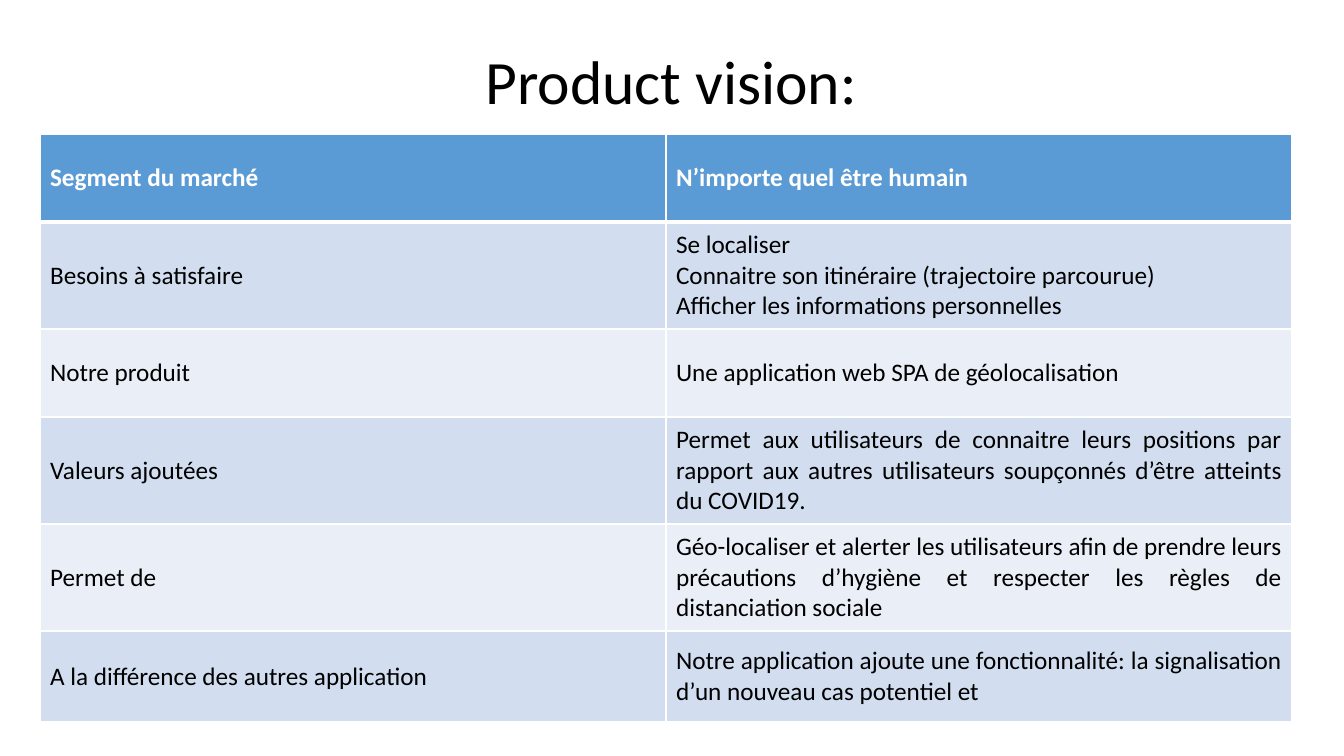
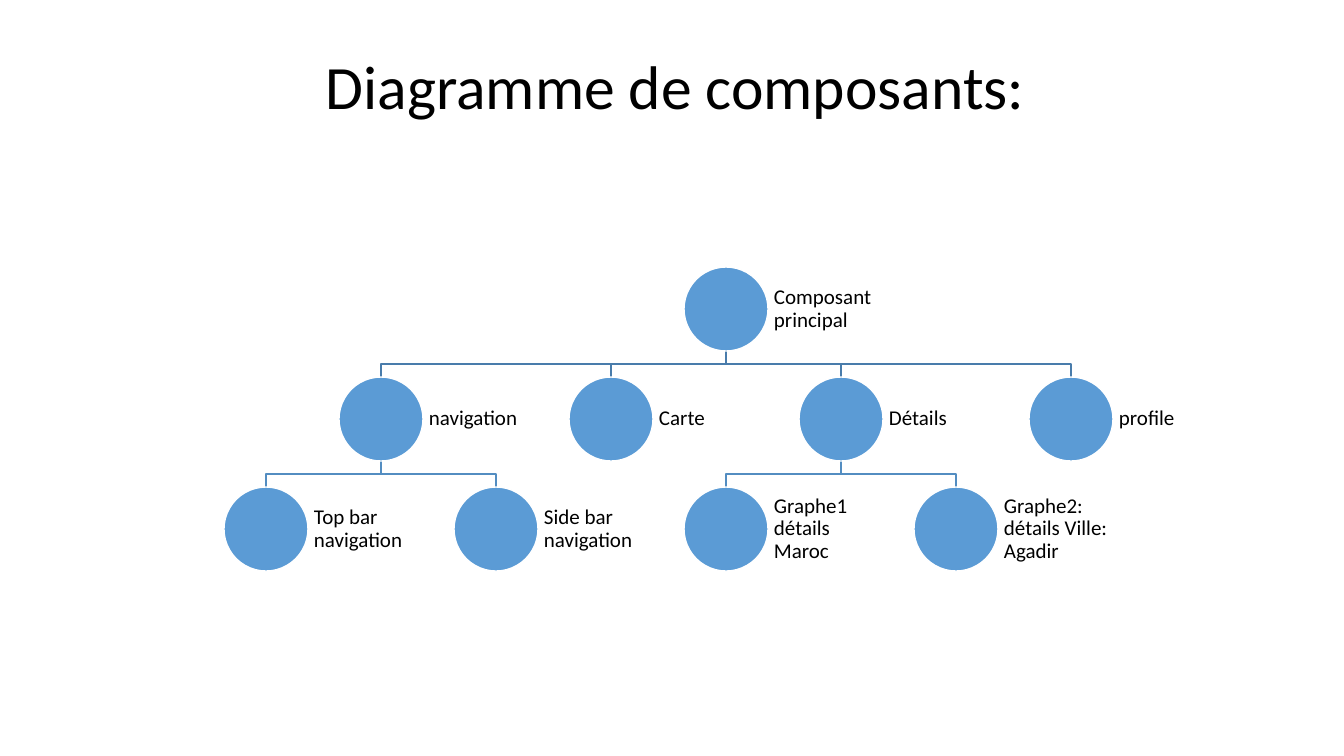
import dataclasses
import typing

import lxml.etree
import pptx
import pptx.dml.color
import pptx.enum.shapes
import pptx.enum.text
import pptx.oxml.ns
import pptx.slide
import pptx.table
import pptx.text.text
import pptx.util

SLIDE_WIDTH, SLIDE_HEIGHT = 1344, 756
EMU_PER_PX = 12192000 / SLIDE_WIDTH

FONT = "Calibri"
BLACK = pptx.dml.color.RGBColor(0x00, 0x00, 0x00)
WHITE = pptx.dml.color.RGBColor(0xFF, 0xFF, 0xFF)
BLUE = pptx.dml.color.RGBColor(0x5B, 0x9B, 0xD5)
BAND_DARK = pptx.dml.color.RGBColor(0xD2, 0xDE, 0xEF)
BAND_LIGHT = pptx.dml.color.RGBColor(0xEA, 0xEF, 0xF7)
UPPER_BRANCH = pptx.dml.color.RGBColor(0x49, 0x7C, 0xAB)
LOWER_BRANCH = pptx.dml.color.RGBColor(0x53, 0x8D, 0xC1)

TABLE_LEFT, TABLE_TOP, COLUMN_WIDTH = 40, 134, 626
CIRCLE = 84
FIRST_CENTRE, CENTRE_STEP = 266, 115
FIRST_LEVEL_TOP, LEVEL_STEP = 267, 110
LABEL_WIDTH, LABEL_INSET = 125, 6

Align = pptx.enum.text.PP_ALIGN
Anchor = pptx.enum.text.MSO_ANCHOR


@dataclasses.dataclass(frozen=True)
class Box:
    left: int
    top: int
    width: int
    height: int

    def emu(self) -> tuple[pptx.util.Emu, ...]:
        return tuple(px(length) for length in dataclasses.astuple(self))


@dataclasses.dataclass(frozen=True)
class VisionRow:
    height: int
    topic: str
    answer: str


@dataclasses.dataclass(frozen=True)
class Component:
    label: str
    column: int
    level: int
    parent: typing.Optional["Component"] = None

    @property
    def centre(self) -> int:
        return FIRST_CENTRE + self.column * CENTRE_STEP

    @property
    def top(self) -> int:
        return FIRST_LEVEL_TOP + self.level * LEVEL_STEP

    @property
    def bottom(self) -> int:
        return self.top + CIRCLE


VISION = (
    VisionRow(88, "Segment du marché", "N’importe quel être humain"),
    VisionRow(
        107,
        "Besoins à satisfaire",
        "Se localiser\nConnaitre son itinéraire (trajectoire parcourue)\n"
        "Afficher les informations personnelles",
    ),
    VisionRow(88, "Notre produit", "Une application web SPA de géolocalisation"),
    VisionRow(
        107,
        "Valeurs ajoutées",
        "Permet aux utilisateurs de connaitre leurs positions par rapport aux autres "
        "utilisateurs soupçonnés d’être atteints du COVID19.",
    ),
    VisionRow(
        107,
        "Permet de",
        "Géo-localiser et alerter les utilisateurs afin de prendre leurs précautions "
        "d’hygiène et respecter les règles de distanciation sociale",
    ),
    VisionRow(
        91,
        "A la différence des autres application",
        "Notre application ajoute une fonctionnalité: la signalisation d’un nouveau "
        "cas potentiel et",
    ),
)

MAIN = Component("Composant principal", 4, 0)
NAVIGATION = Component("navigation", 1, 1, MAIN)
DETAILS = Component("Détails", 5, 1, MAIN)
COMPONENTS = (
    MAIN,
    NAVIGATION,
    Component("Top bar navigation", 0, 2, NAVIGATION),
    Component("Side bar navigation", 2, 2, NAVIGATION),
    Component("Carte", 3, 1, MAIN),
    DETAILS,
    Component("Graphe1 détails Maroc", 4, 2, DETAILS),
    Component("Graphe2: détails Ville: Agadir", 6, 2, DETAILS),
    Component("profile", 7, 1, MAIN),
)


def px(length: float) -> pptx.util.Emu:
    return pptx.util.Emu(round(length * EMU_PER_PX))


def write(
    frame: pptx.text.text.TextFrame,
    text: str,
    size: int,
    align: Align,
    color: pptx.dml.color.RGBColor = BLACK,
    bold: bool = False,
    line_spacing: float = 1.0,
) -> None:
    frame.text = text
    for paragraph in frame.paragraphs:
        paragraph.alignment = align
        paragraph.line_spacing = line_spacing
        paragraph.font.name = FONT
        paragraph.font.size = pptx.util.Pt(size)
        paragraph.font.bold = bold
        paragraph.font.color.rgb = color


def add_text(
    slide: pptx.slide.Slide, box: Box, text: str, size: int, align: Align
) -> pptx.text.text.TextFrame:
    frame = slide.shapes.add_textbox(*box.emu()).text_frame
    frame.word_wrap = True
    frame.vertical_anchor = Anchor.MIDDLE
    write(frame, text, size, align, line_spacing=0.9)
    return frame


def add_titled_slide(
    deck: pptx.presentation.Presentation, title: str, box: Box
) -> pptx.slide.Slide:
    slide = deck.slides.add_slide(deck.slide_layouts[6])
    add_text(slide, box, title, 44, Align.CENTER)
    return slide


def set_borders(cell: pptx.table._Cell, top: int, bottom: int) -> None:
    properties = cell._tc.get_or_add_tcPr()
    for side, points in (("L", 1), ("R", 1), ("T", top), ("B", bottom)):
        border = lxml.etree.SubElement(
            properties, pptx.oxml.ns.qn(f"a:ln{side}"), w=str(pptx.util.Pt(points))
        )
        fill = lxml.etree.SubElement(border, pptx.oxml.ns.qn("a:solidFill"))
        lxml.etree.SubElement(fill, pptx.oxml.ns.qn("a:srgbClr"), val=str(WHITE))


def add_vision_table(slide: pptx.slide.Slide, rows: tuple[VisionRow, ...]) -> None:
    box = Box(TABLE_LEFT, TABLE_TOP, 2 * COLUMN_WIDTH, sum(row.height for row in rows))
    table = slide.shapes.add_table(len(rows), 2, *box.emu()).table
    for column in table.columns:
        column.width = px(COLUMN_WIDTH)
    for index, row in enumerate(rows):
        table.rows[index].height = px(row.height)
        header = index == 0
        band = BLUE if header else BAND_DARK if index % 2 else BAND_LIGHT
        for column, text in enumerate((row.topic, row.answer)):
            cell = table.cell(index, column)
            set_borders(cell, top=3 if index == 1 else 1, bottom=3 if header else 1)
            cell.fill.solid()
            cell.fill.fore_color.rgb = band
            cell.vertical_anchor = Anchor.MIDDLE
            write(
                cell.text_frame, text, 18, Align.JUSTIFY, WHITE if header else BLACK, header
            )


def add_branch(slide: pptx.slide.Slide, parent: Component, child: Component) -> None:
    middle = (parent.bottom + child.top) / 2
    outline = slide.shapes.build_freeform(parent.centre, parent.bottom, EMU_PER_PX)
    outline.add_line_segments(
        ((parent.centre, middle), (child.centre, middle), (child.centre, child.top)),
        close=False,
    )
    branch = outline.convert_to_shape()
    branch.shadow.inherit = False
    branch.fill.background()
    branch.line.color.rgb = LOWER_BRANCH if parent.level else UPPER_BRANCH
    branch.line.width = pptx.util.Pt(1)


def add_component(slide: pptx.slide.Slide, component: Component) -> None:
    box = Box(component.centre - CIRCLE // 2, component.top, CIRCLE, CIRCLE)
    circle = slide.shapes.add_shape(pptx.enum.shapes.MSO_SHAPE.OVAL, *box.emu())
    circle.shadow.inherit = False
    circle.fill.solid()
    circle.fill.fore_color.rgb = BLUE
    circle.line.color.rgb = WHITE
    circle.line.width = pptx.util.Pt(1)
    label_box = Box(box.left + CIRCLE, box.top, LABEL_WIDTH, CIRCLE)
    label = add_text(slide, label_box, component.label, 15, Align.LEFT)
    label.margin_left = label.margin_right = px(LABEL_INSET)
    label.margin_top = label.margin_bottom = px(LABEL_INSET)


def main() -> None:
    deck = pptx.Presentation()
    deck.slide_width, deck.slide_height = px(SLIDE_WIDTH), px(SLIDE_HEIGHT)

    vision = add_titled_slide(deck, "Product vision:", Box(92, 40, 1159, 89))
    add_vision_table(vision, VISION)

    diagram = add_titled_slide(deck, "Diagramme de composants:", Box(96, 35, 1159, 109))
    for component in COMPONENTS:
        if component.parent:
            add_branch(diagram, component.parent, component)
    for component in COMPONENTS:
        add_component(diagram, component)

    deck.save("out.pptx")


main()
